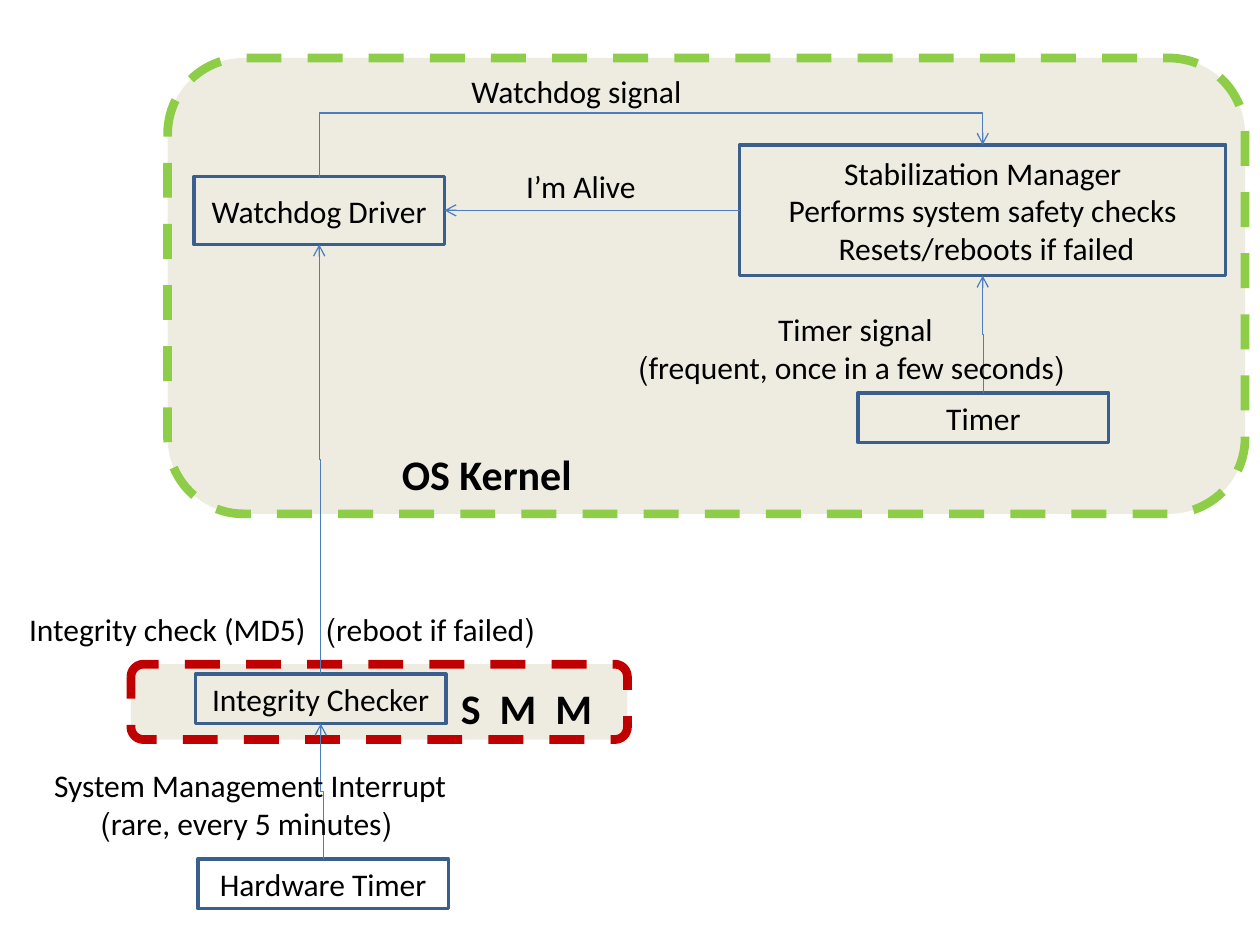
from lxml import etree
from pptx import Presentation
from pptx.dml.color import RGBColor
from pptx.enum.dml import MSO_LINE
from pptx.enum.shapes import MSO_CONNECTOR, MSO_SHAPE
from pptx.enum.text import MSO_ANCHOR, PP_ALIGN
from pptx.oxml.ns import qn
from pptx.util import Cm, Pt

COLORS = {name: RGBColor.from_string(value) for name, value in {
    "panel": "EEECE1", "kernel": "8DCD47", "smm": "C00000",
    "box": "3A5F8C", "arrow": "4B7EBC", "text": "000000"}.items()}

prs = Presentation()
prs.slide_width, prs.slide_height = Cm(25.4), Cm(19.05)
slide = prs.slides.add_slide(prs.slide_layouts[6])
shapes = slide.shapes


def write(frame, lines, size=18, bold=False, centered=True):
    for i, line in enumerate(lines):
        paragraph = frame.paragraphs[0] if i == 0 else frame.add_paragraph()
        if centered:
            paragraph.alignment = PP_ALIGN.CENTER
            paragraph._p.get_or_add_pPr().set("rtl", "1")
        run = paragraph.add_run()
        run.text = line
        run.font.name, run.font.size, run.font.bold = "Calibri", Pt(size), bold
        run.font.color.rgb = COLORS["text"]


def add_arrow(x1, y1, x2, y2, bend=None):
    """Arrow to (x2, y2); with a bend it leaves upwards and turns at that share of the rise."""
    kind = MSO_CONNECTOR.STRAIGHT if bend is None else MSO_CONNECTOR.ELBOW
    arrow = shapes.add_connector(kind, Cm(x1), Cm(y1), Cm(x2), Cm(y2))
    arrow.line.color.rgb, arrow.line.width = COLORS["arrow"], Pt(0.75)
    props = arrow._element.spPr
    etree.SubElement(arrow.line._get_or_add_ln(), qn("a:tailEnd"), type="arrow")
    etree.SubElement(props, qn("a:effectLst"))
    if bend is None:
        return
    # Turn the elbow a quarter so that its first leg is vertical
    rise, run = y1 - y2, abs(x2 - x1)
    arrow.left, arrow.top = Cm((x1 + x2 - rise) / 2), Cm((y1 + y2 - run) / 2)
    arrow.width, arrow.height = Cm(rise), Cm(run)
    xfrm = props.find(qn("a:xfrm"))
    for flip in ("flipH", "flipV"):
        xfrm.attrib.pop(flip, None)
    xfrm.set("rot", "16200000")
    if x2 < x1:
        xfrm.set("flipV", "1")
    guides = props.find(qn("a:prstGeom")).get_or_add_avLst()
    etree.SubElement(guides, qn("a:gd"), name="adj1", fmla=f"val {round(bend * 100000)}")


# Dashed panels
for color, *place in [("kernel", 3.38, 1.17, 21.72, 9.19),
                      ("smm", 2.64, 13.39, 10.01, 1.52)]:
    panel = shapes.add_shape(MSO_SHAPE.FLOWCHART_ALTERNATE_PROCESS, *map(Cm, place))
    panel.shadow.inherit = False
    panel.fill.solid()
    panel.fill.fore_color.rgb = COLORS["panel"]
    panel.line.color.rgb, panel.line.width = COLORS[color], Pt(5)
    panel.line.dash_style = MSO_LINE.DASH

# Component boxes: left, top, width, height, lines
BOXES = {
    "manager": (14.91, 2.92, 9.8, 2.64, ["Stabilization Manager",
                                         "Performs system safety checks",
                                         "Resets/reboots if failed "]),
    "driver": (3.91, 3.56, 5.05, 1.37, ["Watchdog Driver"]),
    "checker": (3.94, 13.59, 5.05, 1, ["Integrity Checker"]),
    "hardware": (3.99, 17.32, 5.05, 1, ["Hardware Timer"]),
    "timer": (17.3, 7.92, 5.05, 1, ["Timer"]),
}
top, bottom = {}, {}
for name, (x, y, w, h, lines) in BOXES.items():
    box = shapes.add_shape(MSO_SHAPE.RECTANGLE, Cm(x), Cm(y), Cm(w), Cm(h))
    box.shadow.inherit = False
    box.fill.background()
    box.line.color.rgb, box.line.width = COLORS["box"], Pt(2)
    box.text_frame.vertical_anchor = MSO_ANCHOR.MIDDLE
    write(box.text_frame, lines)
    top[name], bottom[name] = (x + w / 2, y), (x + w / 2, y + h)

# Arrows between the boxes
for source, target in [("hardware", "checker"), ("checker", "driver"), ("timer", "manager")]:
    add_arrow(*top[source], *bottom[target], bend=0.5)
add_arrow(*top["driver"], *top["manager"], bend=2)
add_arrow(14.91, 4.24, 8.96, 4.24)

# Panel titles
for title, x, y, w in [("S  M  M", 9.04, 13.64, 3.2), ("OS Kernel", 7.85, 8.92, 6.4)]:
    frame = shapes.add_textbox(Cm(x), Cm(y), Cm(w), Cm(1.27)).text_frame
    frame.word_wrap = True
    write(frame, [title], size=24, bold=True, centered=False)

# Arrow labels
for x, y, w, h, lines in [
    (0.79, 15.32, 8.51, 1.8, ["System Management Interrupt", " (rare, every 5 minutes)"]),
    (0.3, 12.17, 6.15, 1.02, ["Integrity check (MD5)"]),
    (6.3, 12.17, 4.75, 1.02, ["(reboot if failed)"]),
    (9.22, 1.32, 4.8, 1.02, ["Watchdog signal"]),
    (10.34, 3.25, 2.74, 1.02, ["I’m Alive"]),
    (12.57, 6.12, 9.35, 1.8, ["Timer signal", " (frequent, once in a few seconds)"]),
]:
    frame = shapes.add_textbox(Cm(x), Cm(y), Cm(w), Cm(h)).text_frame
    frame.word_wrap = False
    write(frame, lines)

prs.save("out.pptx")
